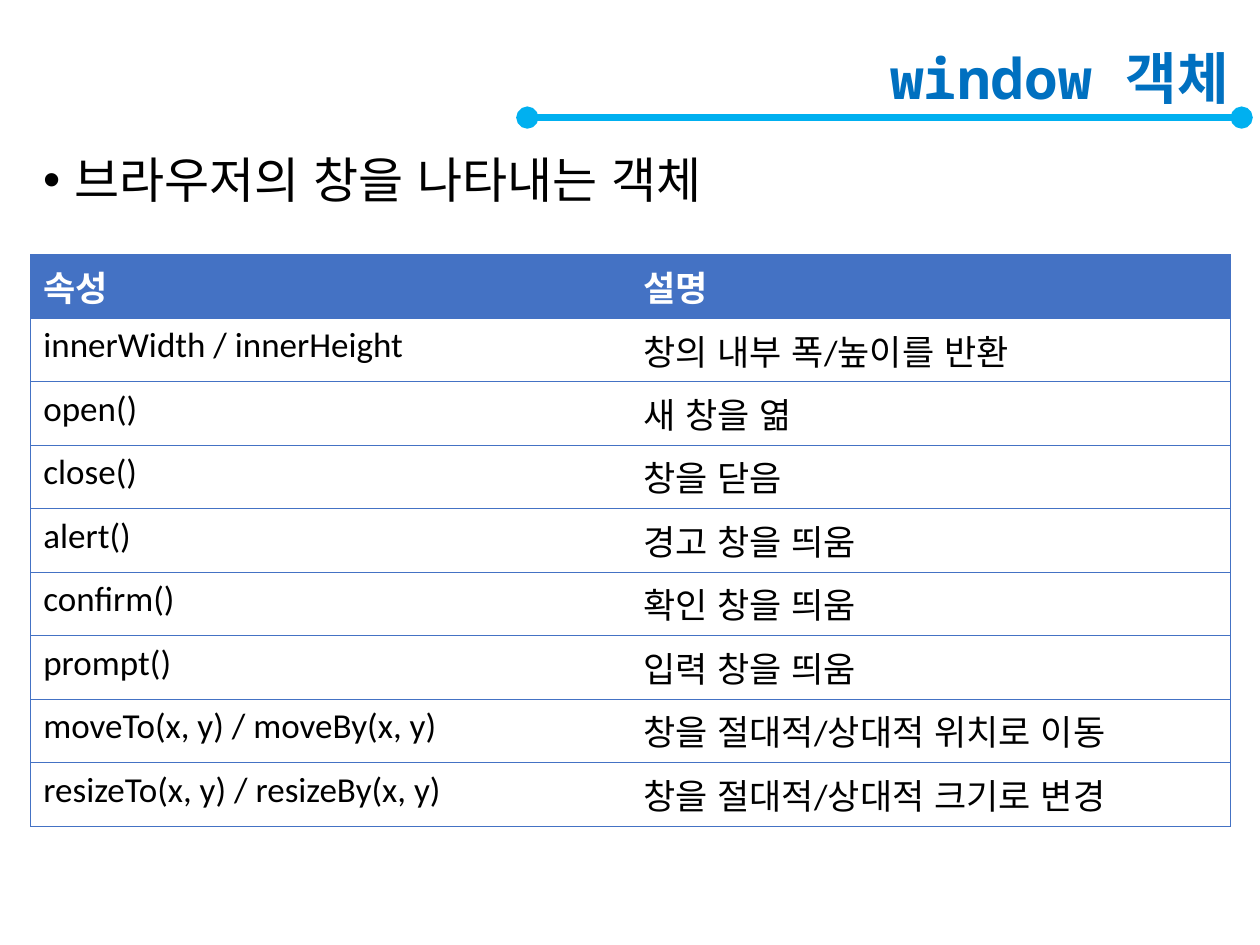
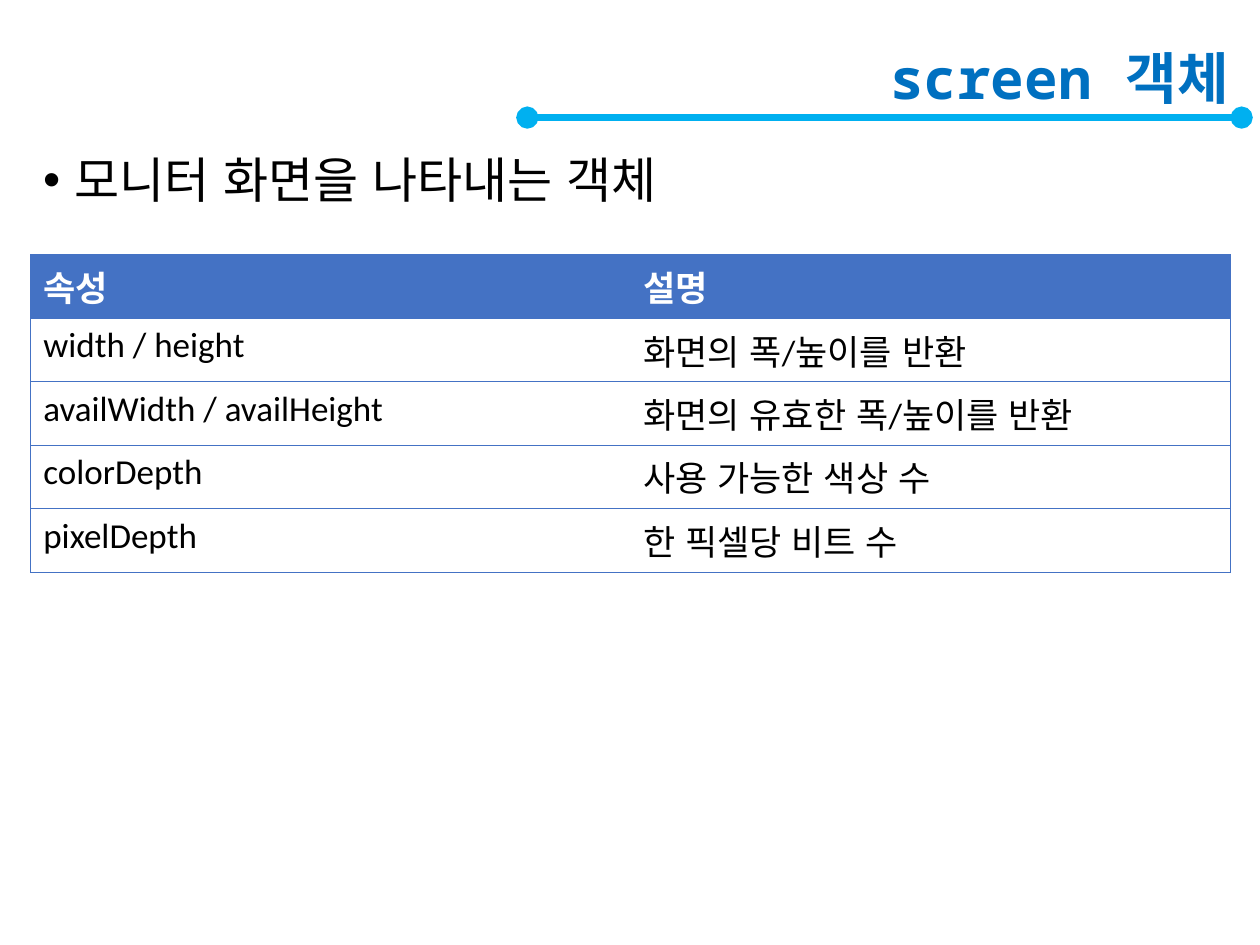
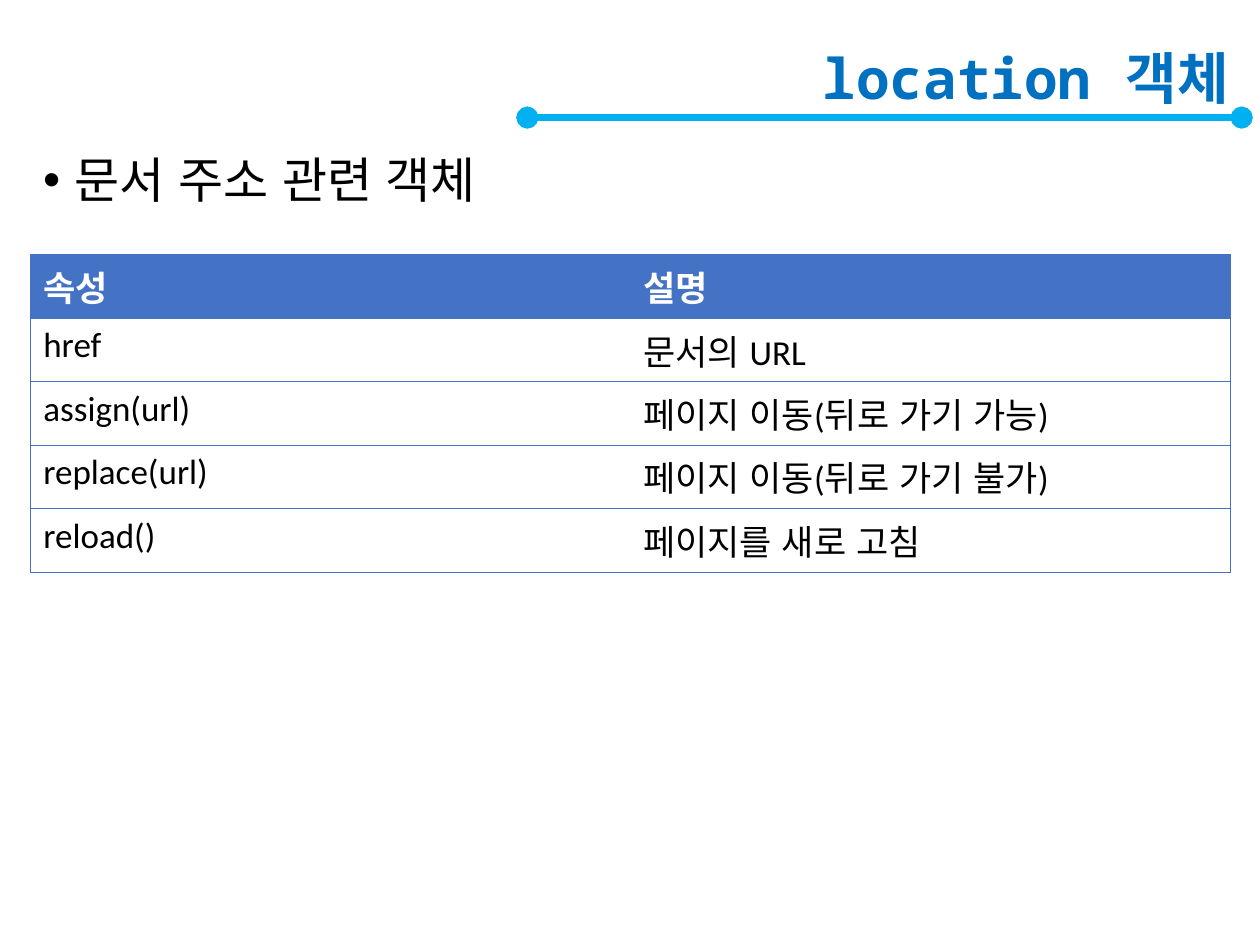
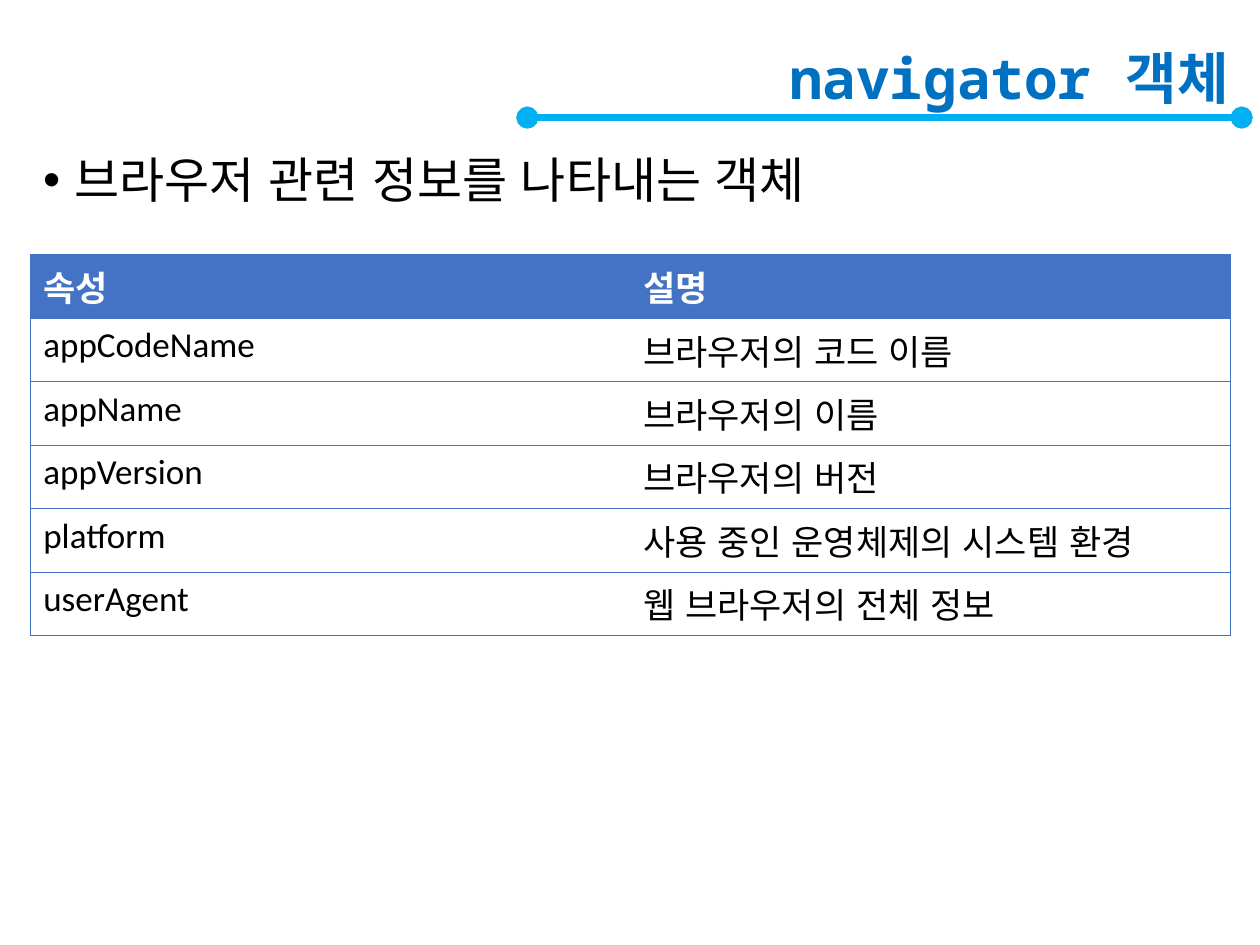
from lxml import etree
from pptx import Presentation
from pptx import util as u
from pptx.dml.color import RGBColor
from pptx.enum import lang, shapes, text
from pptx.oxml import ns

HEADERS = ("속성", "설명")
OBJECTS = [
    ("window 객체", "브라우저의 창을 나타내는 객체", [
        ("innerWidth / innerHeight", "창의 내부 폭/높이를 반환"),
        ("open()", "새 창을 엶"),
        ("close()", "창을 닫음"),
        ("alert()", "경고 창을 띄움"),
        ("confirm()", "확인 창을 띄움"),
        ("prompt()", "입력 창을 띄움"),
        ("moveTo(x, y) / moveBy(x, y)", "창을 절대적/상대적 위치로 이동"),
        ("resizeTo(x, y) / resizeBy(x, y)", "창을 절대적/상대적 크기로 변경"),
    ]),
    ("screen 객체", "모니터 화면을 나타내는 객체", [
        ("width / height", "화면의 폭/높이를 반환"),
        ("availWidth / availHeight", "화면의 유효한 폭/높이를 반환"),
        ("colorDepth", "사용 가능한 색상 수"),
        ("pixelDepth", "한 픽셀당 비트 수"),
    ]),
    ("location 객체", "문서 주소 관련 객체", [
        ("href", "문서의 URL"),
        ("assign(url)", "페이지 이동(뒤로 가기 가능)"),
        ("replace(url)", "페이지 이동(뒤로 가기 불가)"),
        ("reload()", "페이지를 새로 고침"),
    ]),
    ("navigator 객체", "브라우저 관련 정보를 나타내는 객체", [
        ("appCodeName", "브라우저의 코드 이름"),
        ("appName", "브라우저의 이름"),
        ("appVersion", "브라우저의 버전"),
        ("platform", "사용 중인 운영체제의 시스템 환경"),
        ("userAgent", "웹 브라우저의 전체 정보"),
    ]),
]

TITLE_BLUE = RGBColor(0x00, 0x70, 0xC0)
LINE_BLUE = RGBColor(0x00, 0xB0, 0xF0)
TABLE_BLUE = RGBColor(0x44, 0x72, 0xC4)
WHITE = RGBColor(0xFF, 0xFF, 0xFF)
BLACK = RGBColor(0x00, 0x00, 0x00)
TEXT_FONT = "Noto Sans Mono"
TABLE_FONT = "Calibri"

LEFT = u.Cm(0.62)
TEXT_WIDTH = u.Cm(24.4)
TITLE_TOP, TITLE_HEIGHT = u.Cm(0.61), u.Cm(2.06)
BODY_TOP, BODY_HEIGHT = u.Cm(3.03), u.Cm(14.78)
LINE_START, LINE_END, LINE_TOP = u.Cm(10.63), u.Cm(25.03), u.Cm(2.37)
TABLE_TOP, COLUMN_WIDTH, ROW_HEIGHT = u.Cm(5.13), u.Cm(12.09), u.Cm(1.28)
BULLET_INDENT = u.Cm(0.64)


def add_element(parent, tag, **attributes):
    values = {name: str(value) for name, value in attributes.items()}
    return etree.SubElement(parent, ns.qn(tag), values)


def add_run(paragraph, content, font, size, color, bold=False):
    run = paragraph.add_run()
    run.text = content
    run.font.name = font
    run.font.size = u.Pt(size)
    run.font.color.rgb = color
    run.font.bold = bold
    run.font.language_id = lang.MSO_LANGUAGE_ID.KOREAN


def add_text(slide, top, height, content, size, color, bold=False):
    frame = slide.shapes.add_textbox(LEFT, top, TEXT_WIDTH, height).text_frame
    frame.word_wrap = True
    paragraph = frame.paragraphs[0]
    paragraph.line_spacing = 0.9
    add_run(paragraph, content, TEXT_FONT, size, color, bold)
    return frame, paragraph


def add_title_line(slide):
    line = slide.shapes.add_connector(
        shapes.MSO_CONNECTOR.STRAIGHT, LINE_START, LINE_TOP, LINE_END, LINE_TOP)
    line.line.color.rgb = LINE_BLUE
    line.line.width = u.Pt(4.25)
    outline = line.line._get_or_add_ln()
    for end in ("a:headEnd", "a:tailEnd"):
        add_element(outline, end, type="oval")
    add_element(line._element.spPr, "a:effectLst")


def add_title(slide, content):
    frame, paragraph = add_text(
        slide, TITLE_TOP, TITLE_HEIGHT, content, 32, TITLE_BLUE, True)
    frame.vertical_anchor = text.MSO_ANCHOR.MIDDLE
    paragraph.alignment = text.PP_ALIGN.RIGHT


def add_summary(slide, content):
    paragraph = add_text(slide, BODY_TOP, BODY_HEIGHT, content, 28, BLACK)[1]
    paragraph.space_before = u.Pt(10)
    properties = paragraph._p.get_or_add_pPr()
    properties.set("marL", str(BULLET_INDENT))
    properties.set("indent", str(-BULLET_INDENT))
    add_element(properties, "a:buFont", typeface="Arial")
    add_element(properties, "a:buChar", char="•")


def set_borders(cell, visible):
    properties = cell._tc.get_or_add_tcPr()
    for side in "LRTB":
        border = add_element(properties, f"a:ln{side}", w=u.Pt(0.5))
        if side in visible:
            fill = add_element(border, "a:solidFill")
            add_element(fill, "a:srgbClr", val=TABLE_BLUE)
        else:
            add_element(border, "a:noFill")


def add_member_table(slide, members):
    rows = [HEADERS, *members]
    table = slide.shapes.add_table(
        len(rows), len(HEADERS), LEFT, TABLE_TOP,
        COLUMN_WIDTH * len(HEADERS), ROW_HEIGHT * len(rows)).table
    table.horz_banding = False
    for row_index, row in enumerate(rows):
        is_header = row_index == 0
        for column_index, content in enumerate(row):
            cell = table.cell(row_index, column_index)
            set_borders(cell, "LTB" if column_index == 0 else "RTB")
            if is_header:
                cell.fill.solid()
                cell.fill.fore_color.rgb = TABLE_BLUE
            else:
                cell.fill.background()
            add_run(cell.text_frame.paragraphs[0], content, TABLE_FONT, 20,
                    WHITE if is_header else BLACK, is_header)


presentation = Presentation()
presentation.slide_width = u.Cm(25.4)
presentation.slide_height = u.Cm(19.05)
for title, summary, members in OBJECTS:
    slide = presentation.slides.add_slide(presentation.slide_layouts[6])
    add_title_line(slide)
    add_title(slide, title)
    add_summary(slide, summary)
    add_member_table(slide, members)
presentation.save("out.pptx")
